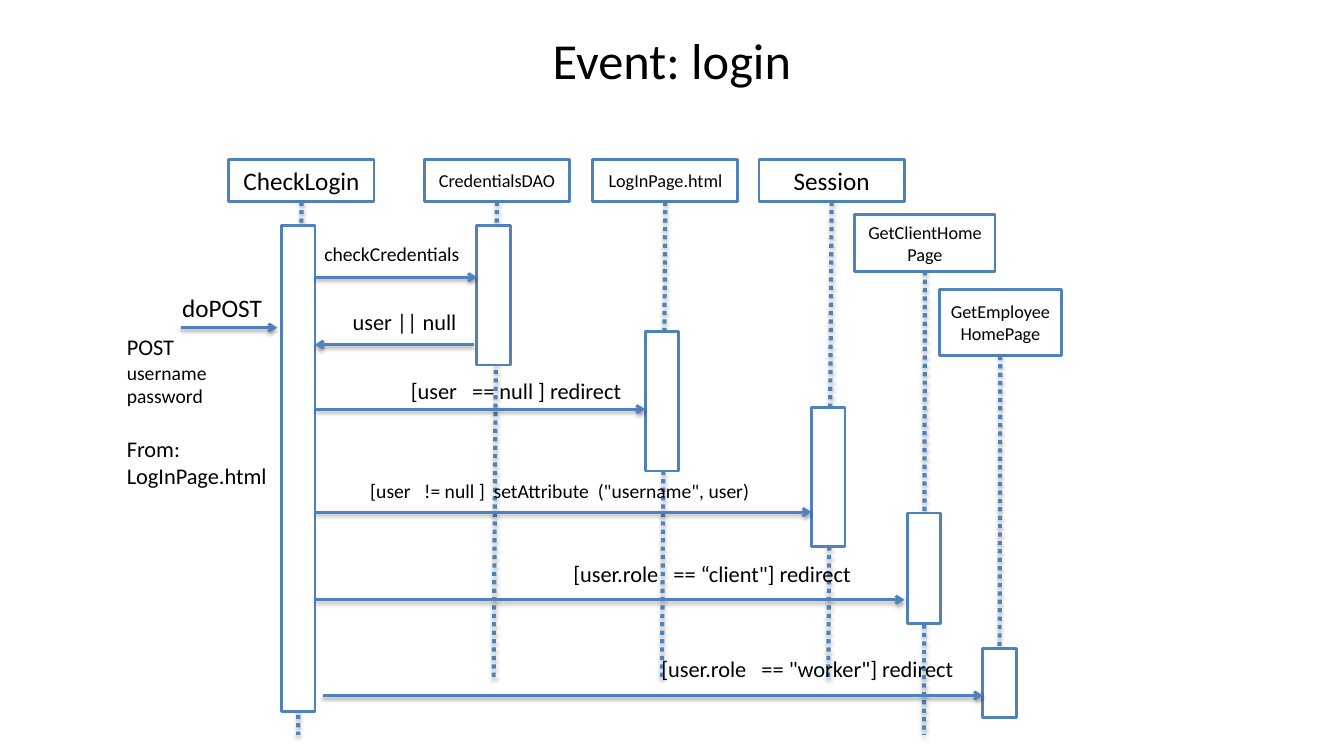
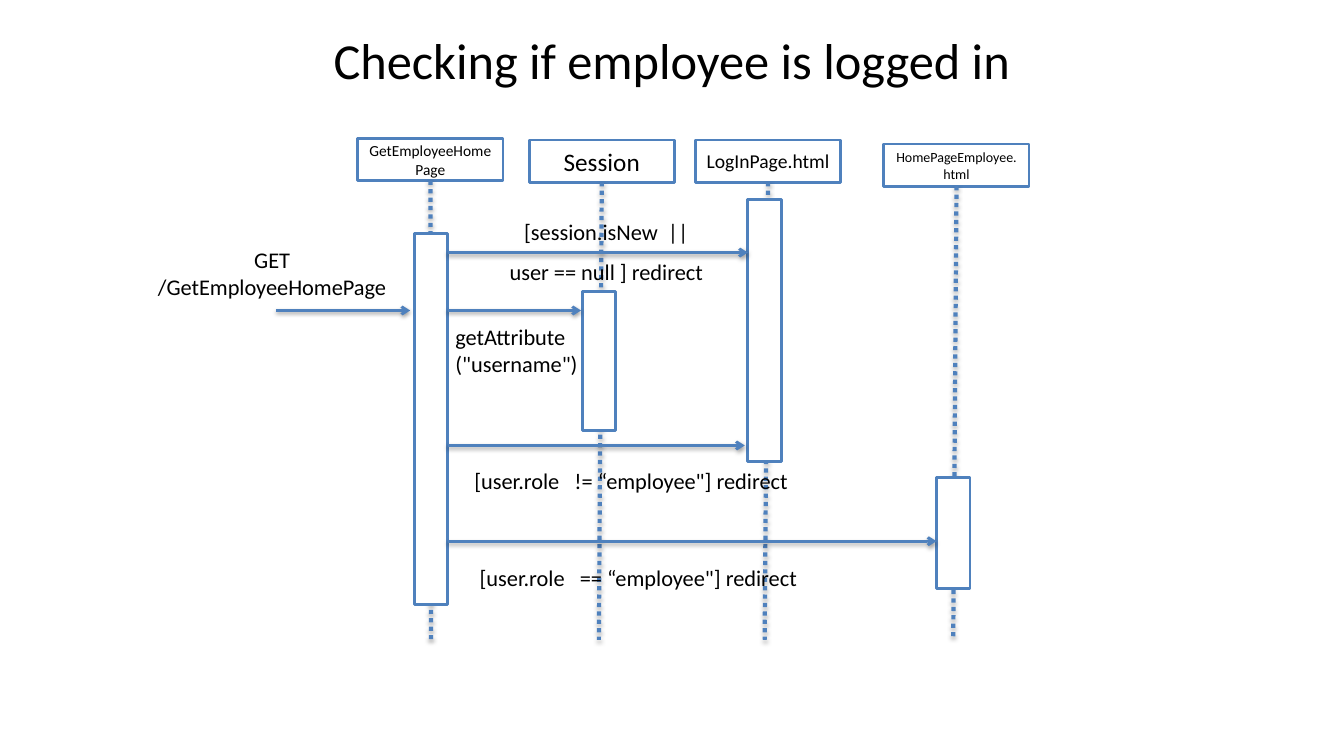
from lxml import etree
from pptx import Presentation
from pptx.dml.color import RGBColor
from pptx.enum.dml import MSO_LINE
from pptx.enum.shapes import MSO_CONNECTOR, MSO_SHAPE
from pptx.enum.text import MSO_ANCHOR, MSO_AUTO_SIZE, PP_ALIGN
from pptx.oxml.ns import qn
from pptx.util import Pt

LEFT, CENTER = PP_ALIGN.LEFT, PP_ALIGN.CENTER
MIDDLE = MSO_ANCHOR.MIDDLE
GROW = MSO_AUTO_SIZE.SHAPE_TO_FIT_TEXT
RECT = MSO_SHAPE.RECTANGLE
STRAIGHT = MSO_CONNECTOR.STRAIGHT
DOTTED = MSO_LINE.ROUND_DOT
TITLE_ONLY = 5


def rgb(value):
    return RGBColor.from_string(value)


def sub(parent, tag, **attrs):
    return etree.SubElement(parent, qn(tag), **attrs)


class SequenceDeck:
    """Style of the sequence diagrams and the slide being drawn."""

    FONT, INK, BLUE, PAPER = "Calibri", "000000", "4F81BD", "FFFFFF"
    HEAD_W, HEAD_H = 103.7, 30.2
    BAR_W = 24

    def __init__(self):
        self.prs = Presentation()
        self.prs.slide_width, self.prs.slide_height = Pt(960), Pt(540)

    def slide(self, title):
        self.s = self.prs.slides.add_slide(self.prs.slide_layouts[TITLE_ONLY])
        sp = self.s.shapes.title
        sp.left, sp.top, sp.width, sp.height = Pt(66), Pt(11), Pt(828), Pt(63)
        sp.text_frame.text = title
        sp.text_frame.vertical_anchor = MIDDLE
        self.format(sp.text_frame, 36, CENTER)

    def format(self, tf, size, align):
        for p in tf.paragraphs:
            p.alignment = align
            for r in p.runs:
                r.font.size, r.font.name = Pt(size), self.FONT
                r.font.color.rgb = rgb(self.INK)

    def box(self, x, y, w, h):
        sp = self.s.shapes.add_shape(RECT, Pt(x), Pt(y), Pt(w), Pt(h))
        sp.shadow.inherit = False
        sp.fill.solid()
        sp.fill.fore_color.rgb = rgb(self.PAPER)
        sp.line.color.rgb = rgb(self.BLUE)
        sp.line.width = Pt(2)
        return sp

    def line(self, x1, y1, x2, y2, width, shadow_dist, opacity):
        """Draw a blue line with a soft shadow below it."""
        cn = self.s.shapes.add_connector(STRAIGHT, Pt(x1), Pt(y1), Pt(x2), Pt(y2))
        cn.line.color.rgb = rgb(self.BLUE)
        cn.line.width = Pt(width)
        effects = sub(cn._element.spPr, "a:effectLst")
        shadow = sub(effects, "a:outerShdw", blurRad=str(Pt(3.1)),
                     dist=str(Pt(shadow_dist)), dir="5400000", rotWithShape="0")
        color = sub(shadow, "a:srgbClr", val=self.INK)
        sub(color, "a:alpha", val=str(opacity * 1000))
        return cn

    def lifeline(self, name, x, y, size, bar, end, w=HEAD_W, h=HEAD_H):
        """Draw a head, a dotted line down to end, and a bar (left, top, height)."""
        tf = self.box(x, y, w, h).text_frame
        tf.text = name
        tf.word_wrap = True
        tf.vertical_anchor = MIDDLE
        self.format(tf, size, CENTER)
        bar_x, bar_y, bar_h = bar
        cn = self.line(x + w / 2, y + h, bar_x + self.BAR_W / 2, end, 3, 1.8, 35)
        cn.line.dash_style = DOTTED
        self.box(bar_x, bar_y, self.BAR_W, bar_h)

    def arrow(self, x1, x2, y):
        cn = self.line(x1, y, x2, y, 2, 1.6, 38)
        sub(cn.line._get_or_add_ln(), "a:tailEnd", type="arrow")

    def label(self, text, x, y, w, size=16, align=CENTER, wrap=False):
        h = len(text.splitlines()) * size * 1.2 + 7.2
        tf = self.s.shapes.add_textbox(Pt(x), Pt(y), Pt(w), Pt(h)).text_frame
        tf.word_wrap = wrap
        tf.auto_size = GROW
        tf.text = text
        self.format(tf, size, align)
        return tf


def login(d):
    d.slide("Event: login")
    head_y, end = 113.8, 486
    d.lifeline("CheckLogin", 163.5, head_y, 18, (201, 161.3, 347), 525)
    for name, x, size, bar_x, bar_y in [
        ("CredentialsDAO", 303.1, 13, 340.6, 161.3),
        ("LogInPage.html", 423.4, 13, 460.8, 237),
        ("Session", 542.2, 18, 579.6, 291),
    ]:
        d.lifeline(name, x, head_y, size, (bar_x, bar_y, 99.4), end)
    d.lifeline("GetClientHomePage", 610.6, 153.4, 13, (648, 366.5, 79.2), 525,
               100.1, 40.3)
    d.lifeline("GetEmployeeHomePage", 671, 206.6, 13, (702, 463, 49.7), 463,
               87.1, 47.5)

    for x1, x2, y in [
        (129, 198, 234), (225, 340.6, 198), (338.4, 225, 246.2),
        (225, 460.8, 292.3), (225, 579.6, 365.8), (225, 646, 428.4),
        (230.4, 702, 496.8),
    ]:
        d.arrow(x1, x2, y)

    d.label("doPOST", 123, 205.2, 72, 18, LEFT)
    d.label("checkCredentials", 224.6, 169.2, 112.3, 14, LEFT)
    d.label("user || null", 244.8, 216.7, 89.3, 16, LEFT)
    d.label("[user   == null ] redirect", 285.1, 265.7, 167)
    d.label('[user   != null ]  setAttribute  ("username", user)',
            247, 338.4, 306, 14)
    d.label('[user.role   == “client"] redirect', 401, 396.7, 215.3)
    d.label('[user.role   == "worker"] redirect', 463.7, 464.4, 226)

    tf = d.label("POST\nusername\npassword\nFrom:\nLogInPage.html",
                 83.5, 234.7, 117.4, 16, LEFT, True)
    for p in tf.paragraphs[1:3]:
        p.runs[0].font.size = Pt(14)
    tf.paragraphs[3].space_before = Pt(19.5)


def employee_check(d):
    d.slide("Checking if employee is logged in")
    end = 457
    for name, x, y, size, bar in [
        ("GetEmployeeHomePage", 255.6, 98.9, 11, (295.9, 167, 265)),
        ("Session", 378, 100, 18, (415.8, 208.1, 99.4)),
        ("LogInPage.html", 496.8, 100, 14, (534.2, 142.6, 187.2)),
        ("HomePageEmployee.\vhtml", 631.4, 102.8, 10, (668.9, 341.3, 79.2)),
    ]:
        d.lifeline(name, x, y, size, bar, end)

    for x1, x2, y in [
        (197.3, 293, 221.8), (319.7, 534.2, 180.4), (319.7, 415, 221.8),
        (319.7, 532, 318.2), (319.7, 668.9, 386.6),
    ]:
        d.arrow(x1, x2, y)

    d.label("GET\n/GetEmployeeHomePage", 104.4, 172, 180)
    tf = d.label("[session.isNew  ||\vuser == null ] redirect", 344.2, 142.6, 177.8,
                 wrap=True)
    tf.paragraphs[0].line_spacing = 1.5
    d.label('getAttribute \v("username")', 318.2, 227.5, 109.4, 16, LEFT, True)
    d.label('[user.role   != “employee"] redirect', 329.8, 329.8, 242)
    d.label('[user.role   == “employee"] redirect', 334, 399.6, 244)


def main():
    d = SequenceDeck()
    login(d)
    employee_check(d)
    d.prs.save("out.pptx")


if __name__ == "__main__":
    main()
